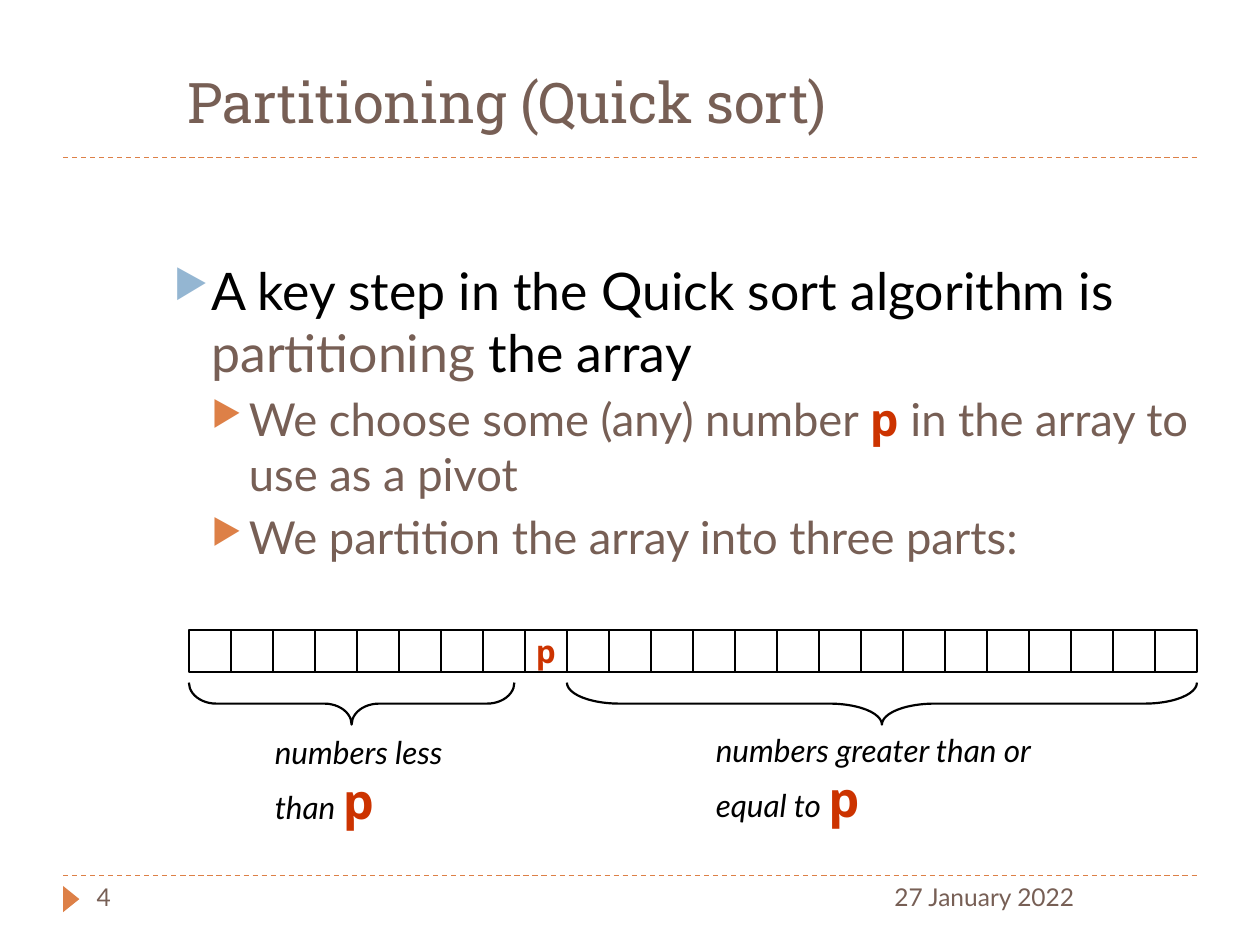
from lxml import etree
from pptx import Presentation, util as u
from pptx.dml.color import RGBColor
from pptx.enum import dml, shapes, text
from pptx.oxml.ns import qn

BROWN = RGBColor(0x77, 0x5F, 0x55)
ORANGE = RGBColor(0xDD, 0x80, 0x47)
BLUE = RGBColor(0x94, 0xB6, 0xD2)
RED = RGBColor(0xCC, 0x33, 0x00)
BLACK = RGBColor(0, 0, 0)
Cm = u.Cm
BODY, CODE, HEAD = "Lato", "Open Sans", "Roboto Slab"
CELLS, PIVOT = 24, 8


def add_run(p, words, size, color, font=BODY, bold=False, italic=False):
    r = p.add_run()
    r.text = words
    f = r.font
    f.size, f.name, f.bold, f.italic = u.Pt(size), font, bold, italic
    f.color.rgb = color


def add_box(parent, x, y, w, h, anchor=text.MSO_ANCHOR.TOP):
    tf = parent.add_textbox(Cm(x), Cm(y), Cm(w), Cm(h)).text_frame
    tf.word_wrap = True
    tf.vertical_anchor = anchor
    return tf


def add_outline(parent, kind, x, y, w, h):
    sp = parent.add_shape(kind, Cm(x), Cm(y), Cm(w), Cm(h))
    sp.shadow.inherit = False
    sp.fill.background()
    sp.line.color.rgb = BLACK
    sp.line.width = u.Pt(1.25)
    return sp


def add_rule(s, x, y, w):
    c = s.shapes.add_connector(shapes.MSO_CONNECTOR.STRAIGHT,
                               Cm(x), Cm(y), Cm(x + w), Cm(y))
    c.line.color.rgb = ORANGE
    c.line.width = u.Pt(0.75)
    c.line.dash_style = dml.MSO_LINE.DASH
    etree.SubElement(c._element.spPr, qn("a:effectLst"))


def set_indent(p, left, first=0):
    pPr = p._p.get_or_add_pPr()
    pPr.set("marL", str(Cm(left)))
    pPr.set("indent", str(Cm(first)))
    return pPr


def set_bullet(p, level, color):
    p.level = level
    pPr = set_indent(p, 0.76 * (level + 1), -0.76)
    clr = etree.SubElement(pPr, qn("a:buClr"))
    etree.SubElement(clr, qn("a:srgbClr"), val=str(color))
    etree.SubElement(pPr, qn("a:buSzPct"), val="76000")
    etree.SubElement(pPr, qn("a:buChar"), char="▶")


def title(s, x, y, w, h):
    tf = add_box(s.shapes, x, y, w, h, text.MSO_ANCHOR.BOTTOM)
    p = tf.paragraphs[0]
    set_indent(p, 2.54)
    add_run(p, "Partitioning (Quick sort)", 32, BROWN, HEAD)
    add_rule(s, 1.27, y + h + 0.33, 22.86)


def footer(s, x, y, w):
    add_rule(s, x, y, w)
    # Page marker
    sp = s.shapes.add_shape(shapes.MSO_SHAPE.ISOSCELES_TRIANGLE,
                            Cm(x - 0.1), Cm(y + 0.31), Cm(0.53), Cm(0.33))
    sp.rotation = 90
    sp.shadow.inherit = False
    sp.fill.solid()
    sp.fill.fore_color.rgb = ORANGE
    sp.line.fill.background()
    # Date and page number
    for words, dx, width in (("27 January 2022", 16.51, 6.35), ("4", 0.43, 5.5)):
        tf = add_box(s.shapes, x + dx, y, width, 1.02)
        add_run(tf.paragraphs[0], words, 14, BROWN)


def body(s, x, y, w, h):
    tf = add_box(s.shapes, x, y, w, h)
    tf.margin_top = Cm(1.6)
    points = [
        (0, [("A key step in the Quick sort algorithm is ", BLACK, BODY),
             ("partitioning", BROWN, BODY), (" the array", BLACK, BODY)]),
        (1, [("We choose some (any) number ", BROWN, BODY), ("p ", RED, CODE),
             ("in the array to use as a pivot", BROWN, BODY)]),
        (1, [("We partition the array into three parts:", BROWN, BODY)]),
    ]
    for i, (level, runs) in enumerate(points):
        p = tf.add_paragraph() if i else tf.paragraphs[0]
        p.space_before = u.Pt(5 if i else 0)
        set_bullet(p, level, ORANGE if level else BLUE)
        for words, color, font in runs:
            add_run(p, words, 25.9 if level else 29.6, color, font, font == CODE)


def brace(s, x, y, w, depth, curve, words, label):
    g = s.shapes.add_group_shape().shapes
    # A left brace turned to point down, centred on the span
    sp = add_outline(g, shapes.MSO_SHAPE.LEFT_BRACE,
                     x + (w - depth) / 2, y - (w - depth) / 2, depth, w)
    sp.rotation = 270
    sp.adjustments[0] = curve
    dx, dy, width = label
    p = add_box(g, x + dx, y + dy, width, 2.46).paragraphs[0]
    add_run(p, words, 18, BLACK, italic=True)
    add_run(p, "p", 28, RED, CODE, bold=True)


def array(s, x, y, w):
    side = w / CELLS
    g = s.shapes.add_group_shape().shapes
    for i in range(CELLS):
        sp = add_outline(g, shapes.MSO_SHAPE.RECTANGLE, x + i * side, y, side, side)
        if i == PIVOT:
            tf = sp.text_frame
            tf.word_wrap = False
            tf.vertical_anchor = text.MSO_ANCHOR.MIDDLE
            p = tf.paragraphs[0]
            p.alignment = text.PP_ALIGN.CENTER
            add_run(p, "p", 18, RED, CODE, bold=True)
    # The parts on each side of the pivot
    top = y + 1.06
    right = (PIVOT + 1) * side
    brace(s, x, top, 6.56, side, 0.65, "numbers less than ", (1.48, 0.89, 4.88))
    brace(s, x + right, top, w - right, side, 1.25,
          "numbers greater than or equal to ", (2.75, 0.85, 7.83))


def main():
    prs = Presentation()
    prs.slide_width, prs.slide_height = Cm(25.4), Cm(19.05)
    s = prs.slides.add_slide(prs.slide_layouts[6])
    footer(s, 1.27, 17.65, 22.86)
    title(s, 0.99, 1.19, 22.86, 1.65)
    body(s, 3.25, 3.61, 21.59, 7.14)
    array(s, 3.81, 12.7, 20.32)
    prs.save("out.pptx")


if __name__ == "__main__":
    main()
